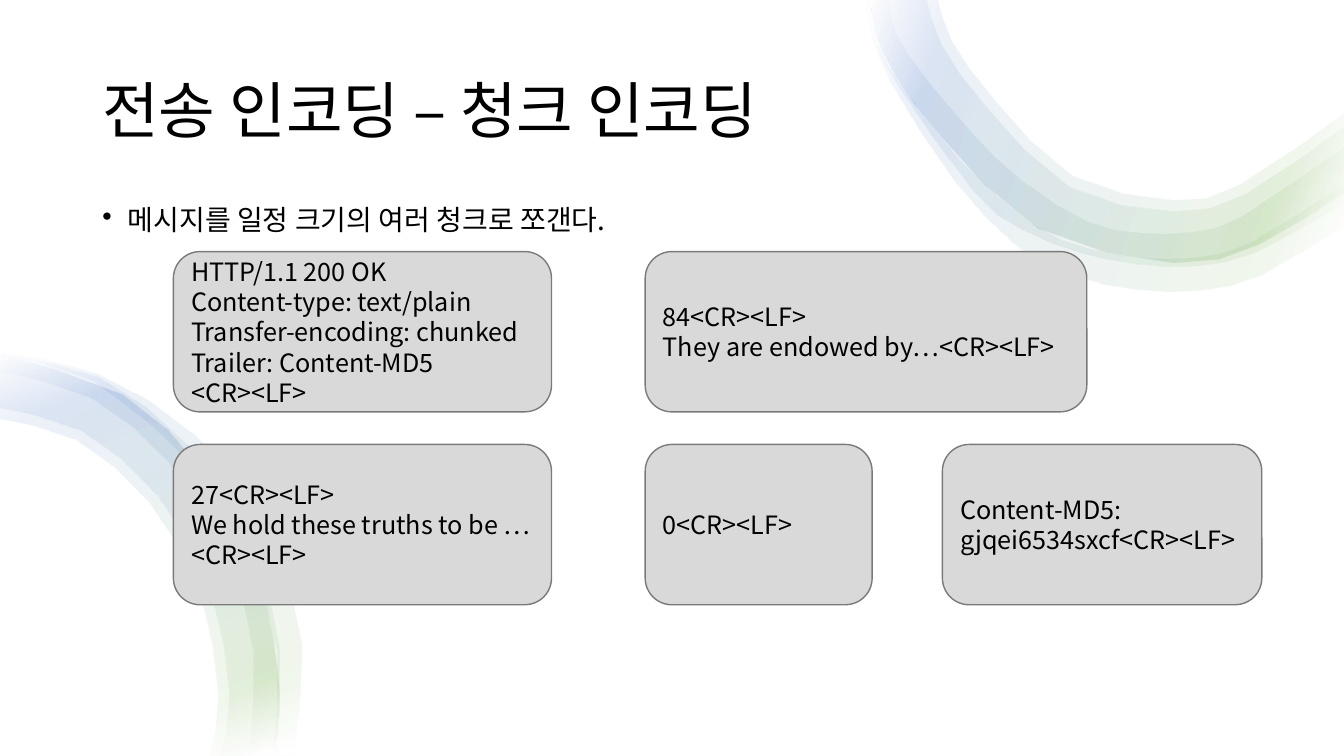
from dataclasses import dataclass

import pptx
import pptx.dml.color
import pptx.enum.shapes
import pptx.enum.text
import pptx.oxml
import pptx.oxml.ns
import pptx.util
from pptx.util import Cm

Point = tuple[float, float]
GRID = Cm(2.54)  # one unit of the ribbon coordinates


@dataclass(frozen=True)
class Theme:
    font: str = "Noto Sans CJK KR"
    text: str = "000000"
    paper: str = "FFFFFF"
    box_fill: str = "D9D9D9"
    box_line: str = "7A7A7A"
    ribbon_stops: tuple = ((2, "FFFFFF"), (16, "70AD47"), (85, "4472C4"), (100, "FFFFFF"))
    ribbon_alpha: int = 10
    title_pt: int = 44
    body_pt: int = 20
    box_pt: int = 18


@dataclass(frozen=True)
class Band:
    angle: int
    outer: list[Point]
    inner: list[Point]


@dataclass(frozen=True)
class Box:
    left: float
    top: float
    width: float
    lines: tuple[str, ...]


THEME = Theme()
BOX_HEIGHT = 4.04
COL_1, COL_2, COL_3 = 4.37, 16.26, 23.75
ROW_1, ROW_2 = 6.34, 11.2

BOXES = [
    Box(COL_1, ROW_1, 9.53, ("HTTP/1.1 200 OK", "Content-type: text/plain",
                             "Transfer-encoding: chunked", "Trailer: Content-MD5",
                             "<CR><LF>")),
    Box(COL_1, ROW_2, 9.53, ("27<CR><LF>", "We hold these truths to be …<CR><LF>")),
    Box(COL_2, ROW_1, 11.13, ("84<CR><LF>", "They are endowed by…<CR><LF>")),
    Box(COL_2, ROW_2, 5.72, ("0<CR><LF>",)),
    Box(COL_3, ROW_2, 8.05, ("Content-MD5:", "gjqei6534sxcf<CR><LF>")),
]

# Ribbon edges: points that a smooth curve runs through
TOP_ANGLE, LEFT_ANGLE = 200, 250
TOP_EDGE = [(8.65, 0), (8.69, .31), (8.89, .75), (9.34, 1.35), (10.3, 2.26),
            (11.64, 2.6), (12.48, 2.42), (13.33, 1.9)]
LEFT_EDGE = [(0, 3.52), (1.22, 3.92), (2.03, 4.7), (2.57, 5.73), (2.77, 6.89), (2.7, 7.5)]
BANDS = [
    Band(TOP_ANGLE,
         [(8.6, 0), (8.63, .28), (8.84, .82), (9.47, 1.79), (10.09, 2.44), (10.65, 2.73),
          (11.27, 2.87), (11.91, 2.88), (12.53, 2.72), (13.33, 2.23)],
         [(8.64, 0), (8.66, .27), (8.82, .67), (9.52, 1.58), (10.25, 2.22), (10.76, 2.45),
          (11.3, 2.55), (11.86, 2.55), (12.39, 2.41), (13.33, 1.83)]),
    Band(TOP_ANGLE,
         [(8.65, 0), (8.7, .38), (8.86, .77), (9.66, 1.9), (10.13, 2.27), (10.69, 2.5),
          (11.27, 2.62), (11.87, 2.64), (12.47, 2.5), (13.33, 2.01)],
         [(8.83, 0), (8.85, .2), (9.01, .54), (9.6, 1.27), (10.15, 1.8), (10.8, 2.2),
          (11.31, 2.31), (11.83, 2.3), (12.31, 2.15), (13.33, 1.46)]),
    Band(TOP_ANGLE, TOP_EDGE,
         [(9.2, 0), (9.35, .45), (9.79, 1.06), (10.61, 1.85), (11.64, 2.09),
          (12.35, 1.92), (13.33, 1.25)]),
    Band(TOP_ANGLE, TOP_EDGE,
         [(9.31, 0), (9.45, .41), (9.88, 1), (10.64, 1.74), (11.64, 1.98),
          (12.29, 1.83), (13.33, 1.12)]),
    Band(LEFT_ANGLE, LEFT_EDGE,
         [(0, 4.16), (.76, 4.37), (1.48, 4.99), (1.98, 5.88), (2.16, 6.89), (2.08, 7.5)]),
    Band(LEFT_ANGLE, LEFT_EDGE,
         [(0, 4.05), (.81, 4.28), (1.56, 4.92), (2.08, 5.85), (2.27, 6.89), (2.18, 7.5)]),
    Band(LEFT_ANGLE,
         [(0, 3.52), (.99, 3.75), (1.86, 4.42), (2.47, 5.35), (2.77, 6.45), (2.72, 7.5)],
         [(0, 3.69), (.9, 3.95), (1.68, 4.6), (2.23, 5.48), (2.51, 6.48), (2.46, 7.5)]),
    Band(LEFT_ANGLE,
         [(0, 3.5), (.96, 3.71), (1.93, 4.32), (2.65, 5.26), (2.99, 6.42), (2.89, 7.5)],
         [(0, 3.53), (.93, 3.79), (1.97, 4.68), (2.41, 5.39), (2.74, 6.45), (2.7, 7.5)]),
]


def rgb(value: str) -> pptx.dml.color.RGBColor:
    return pptx.dml.color.RGBColor.from_string(value)


def smooth(points: list[Point], steps: int = 2) -> list[Point]:
    """Catmull-Rom curve through the points."""
    ends = [points[0], *points, points[-1]]
    curve = []
    for a, b, c, d in zip(ends, ends[1:], ends[2:], ends[3:]):
        for t in (i / steps for i in range(steps)):
            curve.append(tuple(
                b[k] + t / 2 * (c[k] - a[k] + t * (2 * a[k] - 5 * b[k] + 4 * c[k] - d[k]
                                + t * (3 * (b[k] - c[k]) + d[k] - a[k])))
                for k in (0, 1)))
    return [*curve, points[-1]]


def add_band(shapes, band: Band) -> None:
    outline = [(x * GRID, y * GRID)
               for x, y in smooth(band.outer) + smooth(band.inner)[::-1]]
    builder = shapes.build_freeform(*outline[0])
    builder.add_line_segments(outline[1:], close=True)
    sp = builder.convert_to_shape()
    sp.shadow.inherit = False
    sp.line.fill.background()
    # Transparent four-stop gradient
    stops = "".join(
        f'<a:gs pos="{pos * 1000}"><a:srgbClr val="{color}">'
        f'<a:alpha val="{THEME.ribbon_alpha * 1000}"/></a:srgbClr></a:gs>'
        for pos, color in THEME.ribbon_stops)
    gradient = pptx.oxml.parse_xml(
        f'<a:gradFill {pptx.oxml.ns.nsdecls("a")} rotWithShape="1"><a:gsLst>{stops}</a:gsLst>'
        f'<a:lin ang="{band.angle * 60000}" scaled="0"/></a:gradFill>')
    sp._element.spPr.find(pptx.oxml.ns.qn("a:custGeom")).addnext(gradient)


def write(tf, lines: tuple[str, ...], size: int, spacing: float = 1.0) -> None:
    tf.word_wrap = True
    for i, line in enumerate(lines):
        p = tf.paragraphs[0] if i == 0 else tf.add_paragraph()
        p.text = line
        p.alignment = pptx.enum.text.PP_ALIGN.LEFT
        p.line_spacing = spacing
        p.font.size = pptx.util.Pt(size)
        p.font.name = THEME.font
        p.font.color.rgb = rgb(THEME.text)
        # Same typeface for Korean letters
        p._p.pPr.find(pptx.oxml.ns.qn("a:defRPr")).append(pptx.oxml.parse_xml(
            f'<a:ea {pptx.oxml.ns.nsdecls("a")} typeface="{THEME.font}"/>'))


def add_box(shapes, box: Box) -> None:
    sp = shapes.add_shape(pptx.enum.shapes.MSO_SHAPE.ROUNDED_RECTANGLE, Cm(box.left),
                          Cm(box.top), Cm(box.width), Cm(BOX_HEIGHT))
    sp.shadow.inherit = False
    sp.fill.solid()
    sp.fill.fore_color.rgb = rgb(THEME.box_fill)
    sp.line.color.rgb = rgb(THEME.box_line)
    sp.line.width = pptx.util.Pt(1)
    sp.text_frame.vertical_anchor = pptx.enum.text.MSO_ANCHOR.MIDDLE
    write(sp.text_frame, box.lines, THEME.box_pt)


def main() -> None:
    prs = pptx.Presentation()
    prs.slide_width, prs.slide_height = Cm(33.87), Cm(19.05)
    s = prs.slides.add_slide(prs.slide_layouts[6])

    # Backdrop and ribbons
    paper = s.shapes.add_shape(pptx.enum.shapes.MSO_SHAPE.RECTANGLE, 0, 0,
                               prs.slide_width, prs.slide_height)
    paper.shadow.inherit = False
    paper.fill.solid()
    paper.fill.fore_color.rgb = rgb(THEME.paper)
    paper.line.fill.background()
    for band in BANDS:
        add_band(s.shapes, band)

    # Title
    title = s.shapes.add_textbox(Cm(2.33), Cm(1.01), Cm(29.21), Cm(3.68))
    title.text_frame.vertical_anchor = pptx.enum.text.MSO_ANCHOR.MIDDLE
    write(title.text_frame, ("전송 인코딩 – 청크 인코딩",), THEME.title_pt, 0.9)

    # Bulleted statement
    body = s.shapes.add_textbox(Cm(2.33), Cm(5.08), Cm(29.21), Cm(1.52))
    write(body.text_frame, ("메시지를 일정 크기의 여러 청크로 쪼갠다.",), THEME.body_pt, 0.9)
    p = body.text_frame.paragraphs[0]
    p.space_before = pptx.util.Pt(10)
    pPr = p._p.pPr
    pPr.set("marL", str(int(Cm(0.64))))
    pPr.set("indent", str(-int(Cm(0.64))))
    pPr.find(pptx.oxml.ns.qn("a:defRPr")).addprevious(pptx.oxml.parse_xml(
        f'<a:buChar {pptx.oxml.ns.nsdecls("a")} char="•"/>'))

    # Message chunks
    for box in BOXES:
        add_box(s.shapes, box)

    prs.save("out.pptx")


if __name__ == "__main__":
    main()
